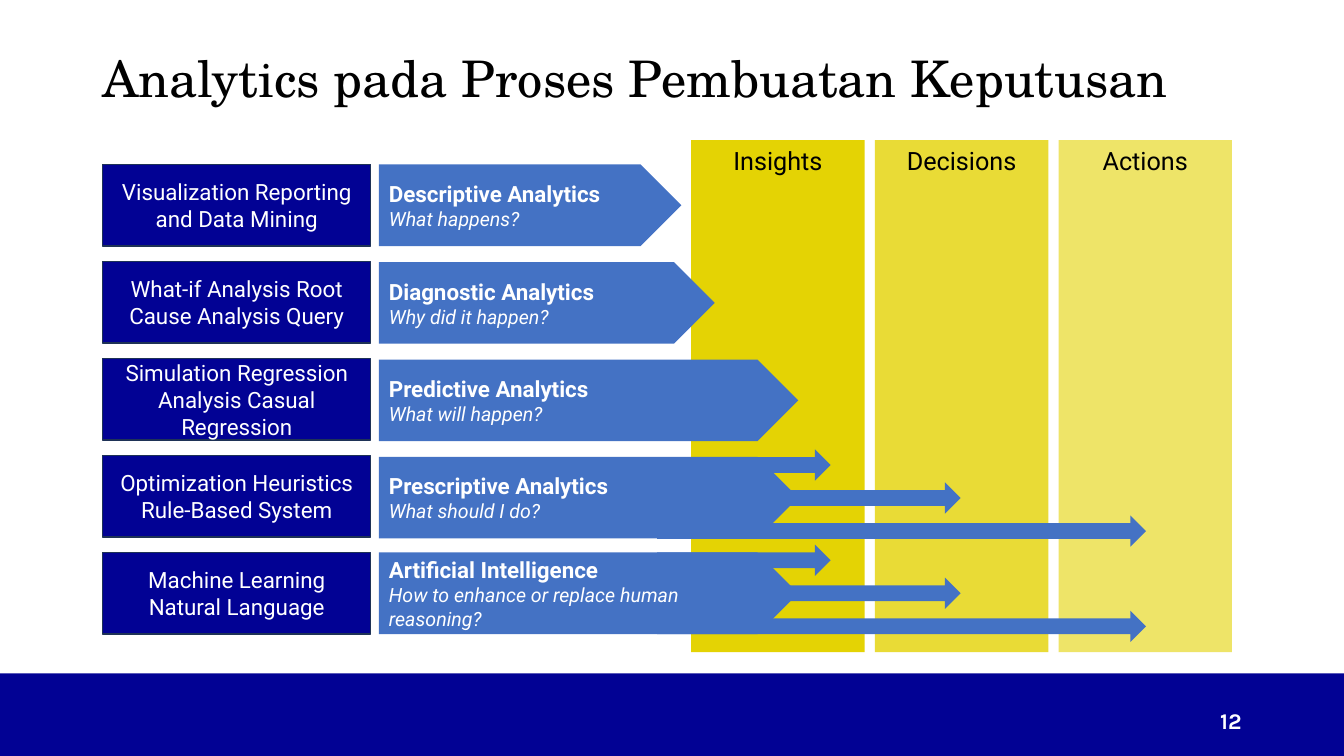
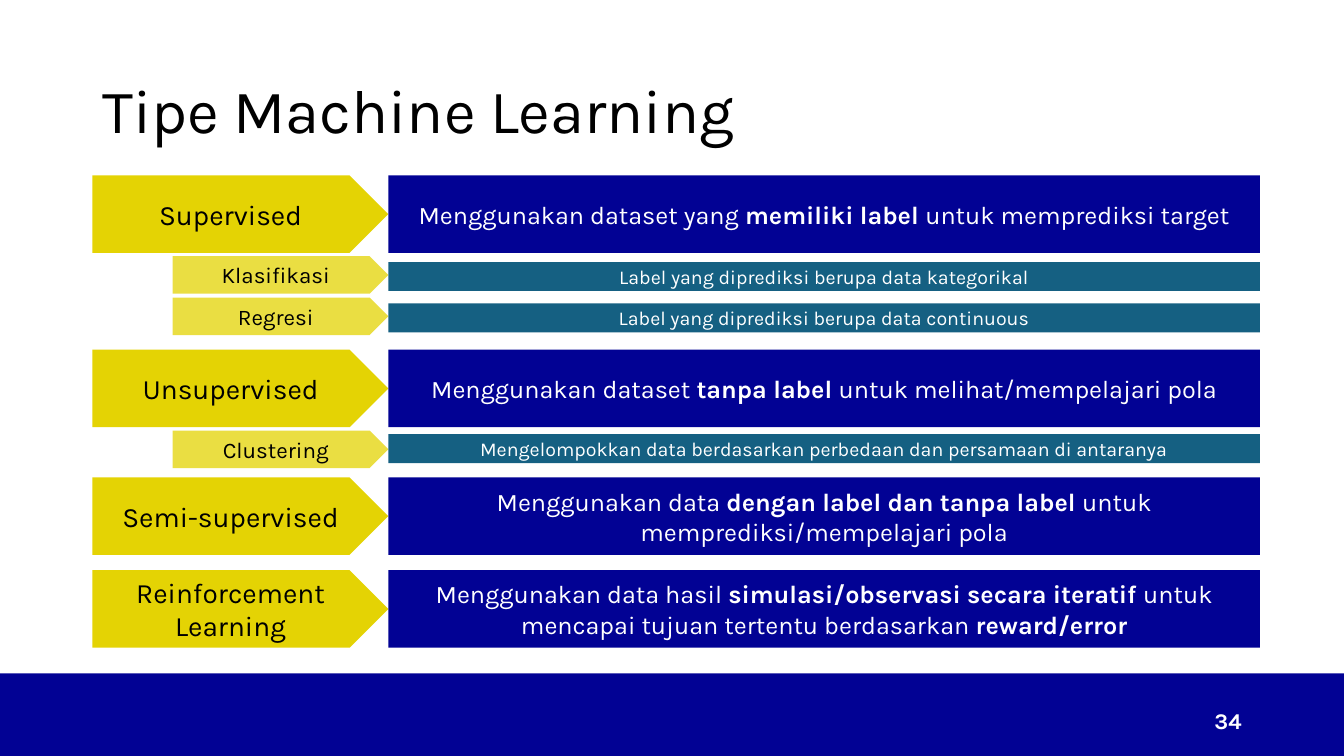
from dataclasses import dataclass

from lxml.etree import SubElement
from pptx import Presentation
from pptx.dml.color import RGBColor
from pptx.enum.shapes import MSO_SHAPE
from pptx.enum.text import MSO_ANCHOR, PP_ALIGN
from pptx.oxml.ns import qn
from pptx.util import Pt


@dataclass(frozen=True)
class Theme:
    navy: str = "020294"
    navy_edge: str = "1E3256"
    blue: str = "4472C4"
    teal: str = "156082"
    yellow: str = "E4D304"
    white: str = "FFFFFF"
    black: str = "000000"
    serif: str = "TeX Gyre Schola"
    sans: str = "Roboto"
    karla: str = "Karla"
    title_long: int = 36
    title_short: int = 44
    label: int = 20
    body: int = 18
    sub: int = 16
    small: int = 14


T = Theme()
WIDTH, HEIGHT = 960, 540

TECHNIQUES = [
    "Visualization Reporting and Data Mining",
    "What-if Analysis Root Cause Analysis Query",
    "Simulation Regression Analysis Casual Regression",
    "Optimization Heuristics Rule-Based System",
    "Machine Learning\nNatural Language",
]
STAGES = [
    ("Descriptive Analytics", "What happens?", 117.5, 216),
    ("Diagnostic Analytics", "Why did it happen?", 187.2, 239.8),
    ("Predictive Analytics", "What will happen?", 256.8, 299.5),
    ("Prescriptive Analytics", "What should I do?", 326.3, 299.5),
    ("Artificial Intelligence", "How to enhance or replace human reasoning?", 394.6, 299.5),
]
OUTCOMES = [("Insights", 100), ("Decisions", 80), ("Actions", 60)]
REACH_ENDS = [593.3, 686.2, 818.6]
REACH_STARTS = [(321, [469.4, 469.4, 469.4]), (389, [469.4, 548.6, 469.4])]

LEARNING_TYPES = [
    ("Supervised", 125.3,
     "Menggunakan dataset yang *memiliki label *untuk memprediksi target"),
    ("Unsupervised", 249.8,
     "Menggunakan dataset *tanpa label *untuk melihat/mempelajari pola"),
    ("Semi-supervised", 341,
     "Menggunakan data *dengan label dan tanpa label *untuk memprediksi/mempelajari pola"),
    ("Reinforcement Learning", 407.3,
     "Menggunakan data hasil *simulasi/observasi secara iteratif *untuk mencapai tujuan "
     "tertentu berdasarkan *reward/error"),
]
TASKS = [
    ("Klasifikasi", 183, 187.2, "Label yang diprediksi berupa data kategorikal"),
    ("Regresi", 212.5, 216.7, "Label yang diprediksi berupa data continuous"),
    ("Clustering", 307.5, 310.2,
     "Mengelompokkan data berdasarkan perbedaan dan persamaan di antaranya"),
]


def add_text(shape, text, size, font, color=T.white, bold=False, italic=False,
             align=PP_ALIGN.CENTER, anchor=MSO_ANCHOR.MIDDLE, spacing=None):
    tf = shape.text_frame
    tf.word_wrap = True
    tf.vertical_anchor = anchor
    for line in text.split("\n"):
        p = tf.add_paragraph() if tf.text else tf.paragraphs[0]
        p.alignment = align
        p.line_spacing = spacing
        for i, part in enumerate(line.split("*")):
            r = p.add_run()
            r.text = part
            r.font.name = font
            r.font.size = Pt(size)
            r.font.bold = bold or i % 2 == 1
            r.font.italic = italic
            r.font.color.rgb = RGBColor.from_string(color)


def add_block(s, kind, x, y, w, h, fill, edge=None, opacity=100):
    sp = s.shapes.add_shape(kind, Pt(x), Pt(y), Pt(w), Pt(h))
    sp.shadow.inherit = False
    sp.fill.solid()
    sp.fill.fore_color.rgb = RGBColor.from_string(fill)
    if opacity < 100:
        color = sp._element.spPr.find(qn("a:solidFill")).find(qn("a:srgbClr"))
        SubElement(color, qn("a:alpha")).set("val", str(opacity * 1000))
    if edge:
        sp.line.color.rgb = RGBColor.from_string(edge)
        sp.line.width = Pt(1)
    else:
        sp.line.fill.background()
    return sp


def add_label(s, x, y, w, h, text, **fmt):
    box = s.shapes.add_textbox(Pt(x), Pt(y), Pt(w), Pt(h))
    add_text(box, text, **fmt)


def add_base(prs, title, title_height, title_size, title_font, number):
    s = prs.slides.add_slide(prs.slide_layouts[6])
    add_block(s, MSO_SHAPE.RECTANGLE, 0, 481, WIDTH, HEIGHT - 481, T.navy)
    add_label(s, 66, 28.8, 828, title_height, title, size=title_size, font=title_font,
              color=T.black, align=PP_ALIGN.LEFT, spacing=0.9)
    add_label(s, 678, 500.4, 216, 28.8, number, size=T.sub, font=T.karla,
              bold=True, align=PP_ALIGN.RIGHT)
    return s


def add_decision_slide(prs):
    s = add_base(prs, "Analytics pada Proses Pembuatan Keputusan", 58.3,
                 T.title_long, T.serif, "12")
    for i, (name, opacity) in enumerate(OUTCOMES):
        column = add_block(s, MSO_SHAPE.RECTANGLE, 493.7 + 131.2 * i, 100, 123.9, 365.8,
                           T.yellow, opacity=opacity)
        add_text(column, name, T.body, T.sans, T.black, anchor=MSO_ANCHOR.TOP)
    for i, name in enumerate(TECHNIQUES):
        box = add_block(s, MSO_SHAPE.RECTANGLE, 73.4, 117.5 + 69.3 * i, 191.5, 58.3,
                        T.navy, edge=T.navy_edge)
        add_text(box, name, T.sub, T.sans)
    for name, question, y, w in STAGES:
        stage = add_block(s, MSO_SHAPE.PENTAGON, 270.7, y, w, 58.3, T.blue)
        add_text(stage, name, T.sub, T.sans, bold=True, align=PP_ALIGN.LEFT)
        add_text(stage, question, T.small, T.sans, italic=True, align=PP_ALIGN.LEFT)
    for top, starts in REACH_STARTS:
        for i, (start, end) in enumerate(zip(starts, REACH_ENDS)):
            add_block(s, MSO_SHAPE.RIGHT_ARROW, start, top + 23.6 * i, end - start, 22.3,
                      T.blue)


def add_learning_slide(prs):
    s = add_base(prs, "Tipe Machine Learning", 104.4, T.title_short, T.karla, "34")
    bar_x, bar_w = 277.4, 622.6
    for name, y, description in LEARNING_TYPES:
        tag = add_block(s, MSO_SHAPE.PENTAGON, 66, y, 211.4, 55.4, T.yellow)
        add_text(tag, name, T.label, T.karla, T.black)
        bar = add_block(s, MSO_SHAPE.RECTANGLE, bar_x, y, bar_w, 55.4, T.navy)
        add_text(bar, description, T.body, T.karla)
    for name, tag_y, bar_y, description in TASKS:
        tag = add_block(s, MSO_SHAPE.PENTAGON, 123.3, tag_y, 154.1, 26.8, T.yellow,
                        opacity=75)
        add_text(tag, name, T.sub, T.karla, T.black)
        bar = add_block(s, MSO_SHAPE.RECTANGLE, bar_x, bar_y, bar_w, 20.7, T.teal)
        add_text(bar, description, T.small, T.karla)


def main():
    prs = Presentation()
    prs.slide_width, prs.slide_height = Pt(WIDTH), Pt(HEIGHT)
    add_decision_slide(prs)
    add_learning_slide(prs)
    prs.save("out.pptx")


if __name__ == "__main__":
    main()
